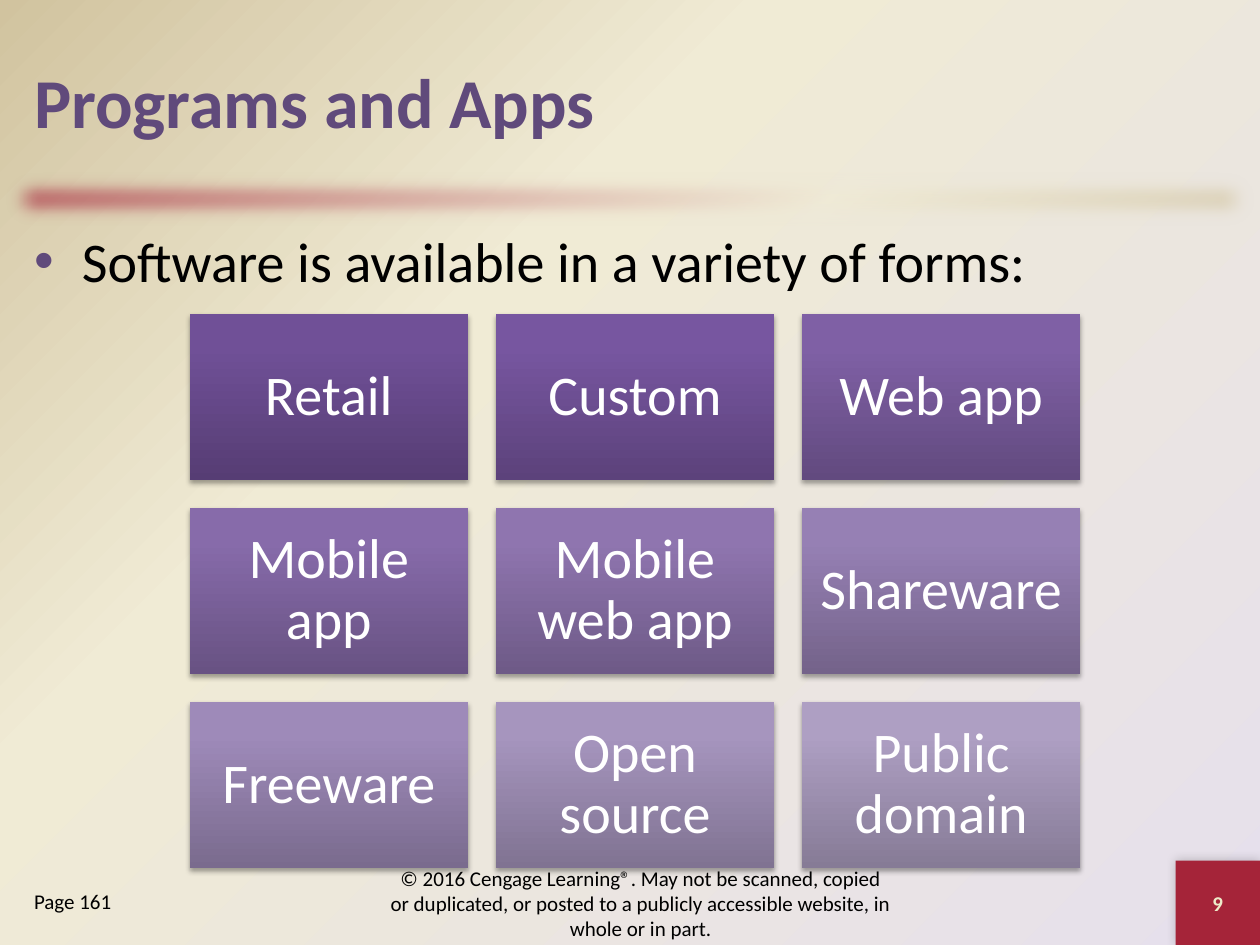
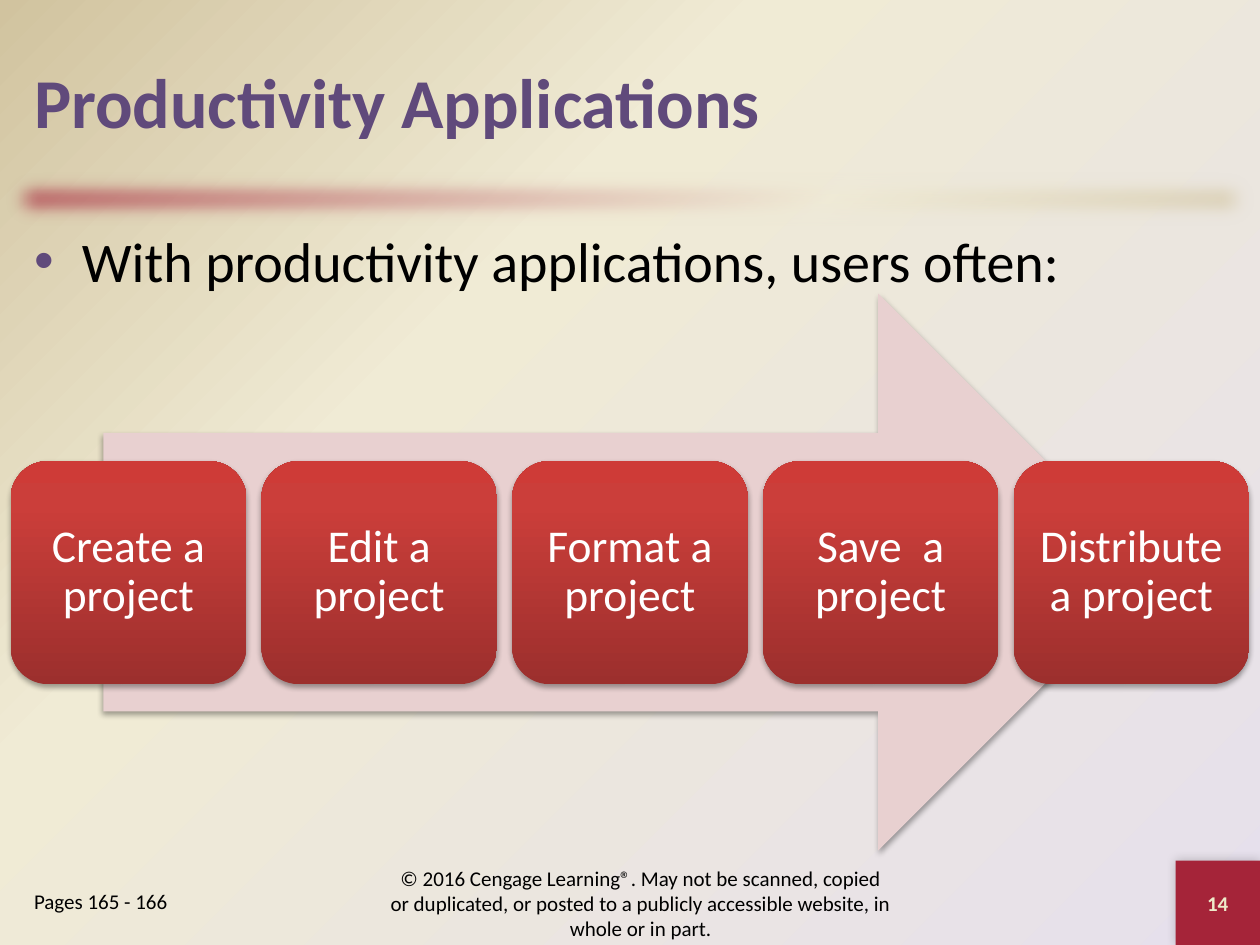
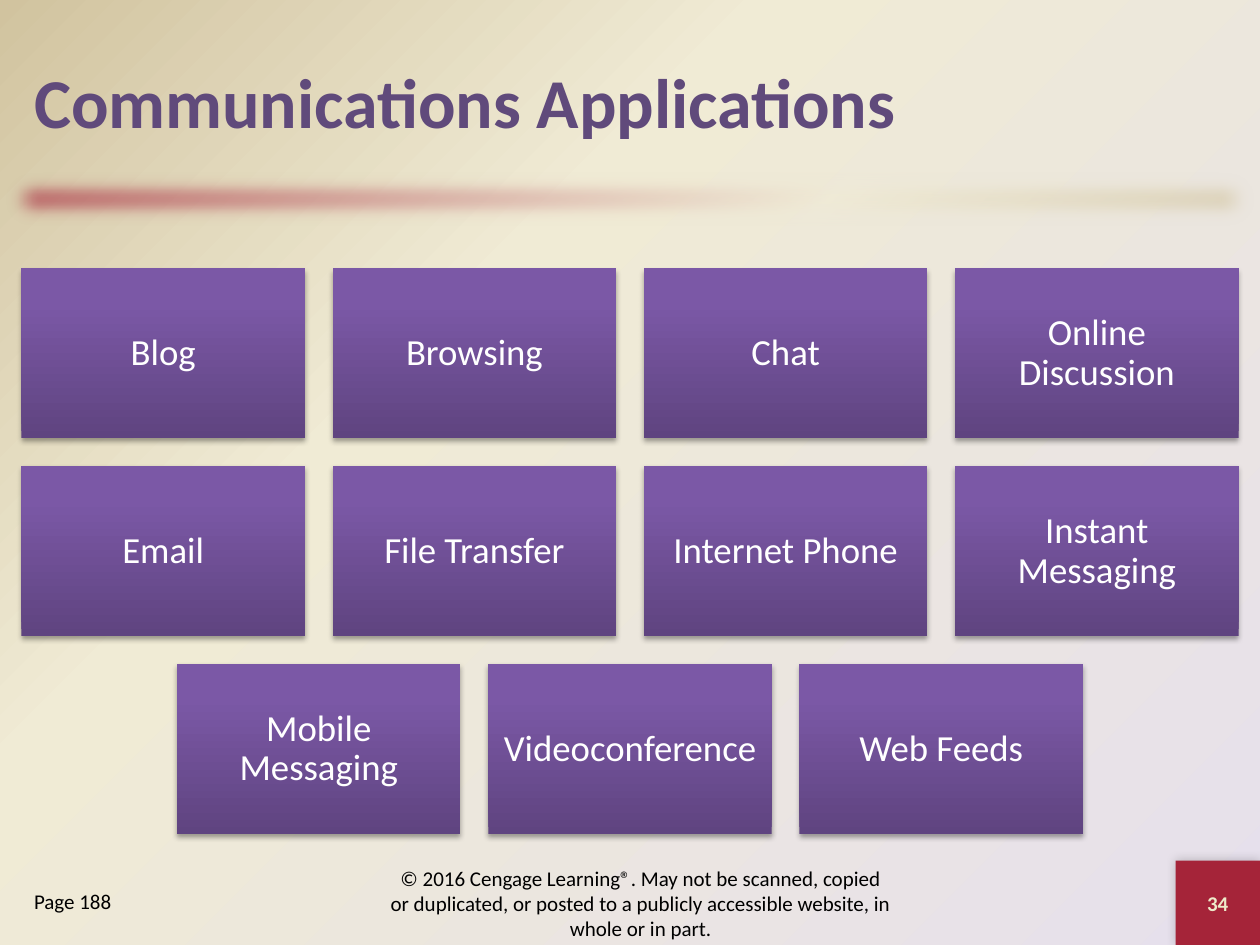
import pptx
import pptx.util
import pptx.dml.color
import pptx.enum.shapes
import pptx.enum.text
import pptx.oxml
import pptx.oxml.ns
from pptx.util import Inches

SHAPE = pptx.enum.shapes.MSO_SHAPE
ALIGN = pptx.enum.text.PP_ALIGN
ANCHOR = pptx.enum.text.MSO_ANCHOR

FONT = "Calibri"
BLACK, WHITE, CREAM = "000000", "FFFFFF", "EEEBCA"
PURPLE, CRIMSON, PINK = "604A7B", "A52439", "E8D0D0"
BACKDROP = ((0, "E6E0EC"), (65, "F0EBD5"), (100, "D1C39F"))
BAND = ((0, CRIMSON), (65, "F0EBD5"), (100, "D1C39F"))
FROM_CORNER = ('<a:path path="circle">'
               '<a:fillToRect l="100000" t="100000" r="0" b="0"/></a:path>')
UPWARD = '<a:lin ang="16200000" scaled="0"/>'
DIAGONAL = '<a:lin ang="2700000" scaled="0"/>'

# Tile shades: bottom, 80 % of the way up, top
DEEP_PURPLE = ("563D74", "705097", "704F99")
BRIGHT_PURPLE = ("5C427B", "7756A0", "7755A2")
PALE_PURPLE = ("867B96", "AE9FC3", "AE9FC4")
PLAIN_PURPLE = ("5F4480", "7B58A6", "7C57A8")
RED = ("9C2F2D", "CB3E3A", "CE3B37")

COPYRIGHT = ("© 2016 Cengage Learning®. May not be scanned, copied or duplicated, "
             "or posted to a publicly accessible website, in whole or in part.")


def colour(value):
    return pptx.dml.color.RGBColor.from_string(value)


def drawing_element(tag, content, attributes=""):
    namespace = pptx.oxml.ns.nsdecls("a")
    return pptx.oxml.parse_xml(f"<a:{tag} {namespace} {attributes}>{content}</a:{tag}>")


def set_gradient(fill, properties, stops, direction):
    """Put a gradient where the fill of these shape or background properties is."""
    fill.solid()
    stop_list = "".join(
        f'<a:gs pos="{position * 1000}"><a:srgbClr val="{value}"/></a:gs>'
        for position, value in stops)
    gradient = drawing_element("gradFill", f"<a:gsLst>{stop_list}</a:gsLst>{direction}",
                               'rotWithShape="1"')
    solid = properties.find(pptx.oxml.ns.qn("a:solidFill"))
    properties.replace(solid, gradient)


def add_effect(shape, effect):
    shape.shadow.inherit = False
    effects = shape.element.spPr.find(pptx.oxml.ns.qn("a:effectLst"))
    effects.append(effect)


def add_shadow(shape, opacity=35, blur=3.1, distance=1.8, angle=90):
    add_effect(shape, drawing_element(
        "outerShdw",
        f'<a:srgbClr val="{BLACK}"><a:alpha val="{opacity * 1000}"/></a:srgbClr>',
        f'blurRad="{pptx.util.Pt(blur)}" dist="{pptx.util.Pt(distance)}" '
        f'dir="{angle * 60000}" algn="ctr" rotWithShape="0"'))


def blend(start, end, share):
    """Return the colour lying the given share of the way from start to end."""
    channels = zip(bytes.fromhex(start), bytes.fromhex(end))
    return "".join(f"{round(a + (b - a) * share):02X}" for a, b in channels)


def fading_shades(start, end, count):
    return [tuple(blend(a, b, step / (count - 1)) for a, b in zip(start, end))
            for step in range(count)]


class Deck:
    def __init__(self):
        self.presentation = pptx.Presentation()
        self.presentation.slide_width = Inches(10)
        self.presentation.slide_height = Inches(7.5)
        self.layout = self.presentation.slide_layouts.get_by_name("Two Content")
        master = self.presentation.slide_master
        fill = master.background.fill
        fill.solid()
        properties = master.element.xpath("p:cSld/p:bg/p:bgPr")[0]
        set_gradient(fill, properties, BACKDROP, FROM_CORNER)
        self.slide = None

    def new_slide(self, title, number, pages, lead=None):
        self.slide = self.presentation.slides.add_slide(self.layout)
        heading, body, page_note = self.slide.placeholders
        band = self.shape(SHAPE.RECTANGLE, 0, 1.33, 10, 0.5)
        set_gradient(band.fill, band.element.spPr, BAND, DIAGONAL)
        add_effect(band, drawing_element("softEdge", "", f'rad="{pptx.util.Pt(12.5)}"'))
        badge = self.shape(SHAPE.RECTANGLE, 9.33, 6.83, 0.67, 0.67, CRIMSON)
        add_shadow(badge, opacity=20, blur=6, distance=0, angle=225)
        self.set_text(badge, str(number), 12, CREAM, bold=True)

        self.place(heading, 0.17, 0.17, 9.67, 1.25)
        self.set_text(heading, title, 40, PURPLE, ALIGN.LEFT, bold=True)
        if lead:
            self.place(body, 0.17, 1.75, 9.67, 5.08)
            self.list_item(body, lead, 32, bulleted=True)
        else:
            body.element.getparent().remove(body.element)
        self.place(page_note, 0.17, 7, 1.83, 0.5)
        self.list_item(page_note, pages, 12)
        footer = self.slide.shapes.add_textbox(
            Inches(3), Inches(6.92), Inches(4.17), Inches(0.5))
        self.set_text(footer, COPYRIGHT, 12, BLACK)

    def place(self, shape, left, top, width, height):
        shape.left, shape.top = Inches(left), Inches(top)
        shape.width, shape.height = Inches(width), Inches(height)

    def shape(self, kind, left, top, width, height, fill=None):
        shape = self.slide.shapes.add_shape(
            kind, Inches(left), Inches(top), Inches(width), Inches(height))
        shape.line.fill.background()
        if fill:
            shape.fill.solid()
            shape.fill.fore_color.rgb = colour(fill)
        return shape

    def set_text(self, shape, text, size, text_colour, align=ALIGN.CENTER,
                 anchor=ANCHOR.MIDDLE, bold=False):
        frame = shape.text_frame
        frame.word_wrap = True
        frame.auto_size = pptx.enum.text.MSO_AUTO_SIZE.NONE
        frame.vertical_anchor = anchor
        paragraph = frame.paragraphs[0]
        paragraph.text = text
        paragraph.alignment = align
        paragraph.space_before = pptx.util.Pt(0)
        font = paragraph.font
        font.name, font.size, font.bold = FONT, pptx.util.Pt(size), bold
        font.color.rgb = colour(text_colour)
        return paragraph

    def list_item(self, shape, text, size, bulleted=False):
        paragraph = shape.text_frame.paragraphs[0]
        properties = paragraph._p.get_or_add_pPr()
        properties.set("marL", str(Inches(0.38)))
        properties.set("indent", str(Inches(-0.38)))
        if bulleted:
            properties.append(drawing_element("buClr", f'<a:srgbClr val="{PURPLE}"/>'))
            properties.append(drawing_element("buFont", "", 'typeface="Arial"'))
            properties.append(drawing_element("buChar", "", 'char="•"'))
        else:
            properties.append(drawing_element("buNone", ""))
        self.set_text(shape, text, size, BLACK, ALIGN.LEFT, ANCHOR.TOP)

    def tile(self, kind, left, top, width, height, text, size, inset, shades):
        tile = self.shape(kind, left, top, width, height)
        set_gradient(tile.fill, tile.element.spPr, zip((0, 80, 100), shades), UPWARD)
        add_shadow(tile)
        frame = tile.text_frame
        frame.margin_left = frame.margin_right = Inches(inset)
        frame.margin_top = frame.margin_bottom = Inches(inset)
        self.set_text(tile, text, size, WHITE).line_spacing = 0.9

    def tile_rows(self, rows, top, width, height, size, inset, shades,
                  kind=SHAPE.RECTANGLE, gap=0.22, centre=5):
        """Draw rows of equal tiles, each row centred; shades has one entry a tile."""
        remaining = iter(shades)
        for row_index, row in enumerate(rows):
            row_width = len(row) * (width + gap) - gap
            for column, text in enumerate(row):
                self.tile(kind, centre - row_width / 2 + column * (width + gap),
                          top + row_index * (height + gap), width, height,
                          text, size, inset, next(remaining))


def main():
    deck = Deck()

    deck.new_slide("Programs and Apps", 9, "Page 161",
                   "Software is available in a variety of forms:")
    software_forms = (("Retail", "Custom", "Web app"),
                      ("Mobile app", "Mobile web app", "Shareware"),
                      ("Freeware", "Open source", "Public domain"))
    deck.tile_rows(software_forms, 2.49, 2.21, 1.32, 32, 0.13,
                   [DEEP_PURPLE] + fading_shades(BRIGHT_PURPLE, PALE_PURPLE, 8),
                   centre=5.04)

    deck.new_slide("Productivity Applications", 14, "Pages 165 - 166",
                   "With productivity applications, users often:")
    arrow = deck.shape(SHAPE.RIGHT_ARROW, 0.82, 2.33, 8.36, 4.42, PINK)
    add_shadow(arrow)
    project_steps = ("Create a project", "Edit a project", "Format a project",
                     "Save  a project", "Distribute a project")
    deck.tile_rows([project_steps], 3.66, 1.87, 1.77, 26, 0.11,
                   [RED] * len(project_steps), SHAPE.ROUNDED_RECTANGLE, gap=0.12)

    deck.new_slide("Communications Applications", 34, "Page 188")
    communications = (("Blog", "Browsing", "Chat", "Online Discussion"),
                      ("Email", "File Transfer", "Internet Phone", "Instant Messaging"),
                      ("Mobile Messaging", "Videoconference", "Web Feeds"))
    deck.tile_rows(communications, 2.13, 2.25, 1.35, 21, 0.09,
                   [PLAIN_PURPLE] * sum(map(len, communications)))

    deck.presentation.save("out.pptx")


if __name__ == "__main__":
    main()
